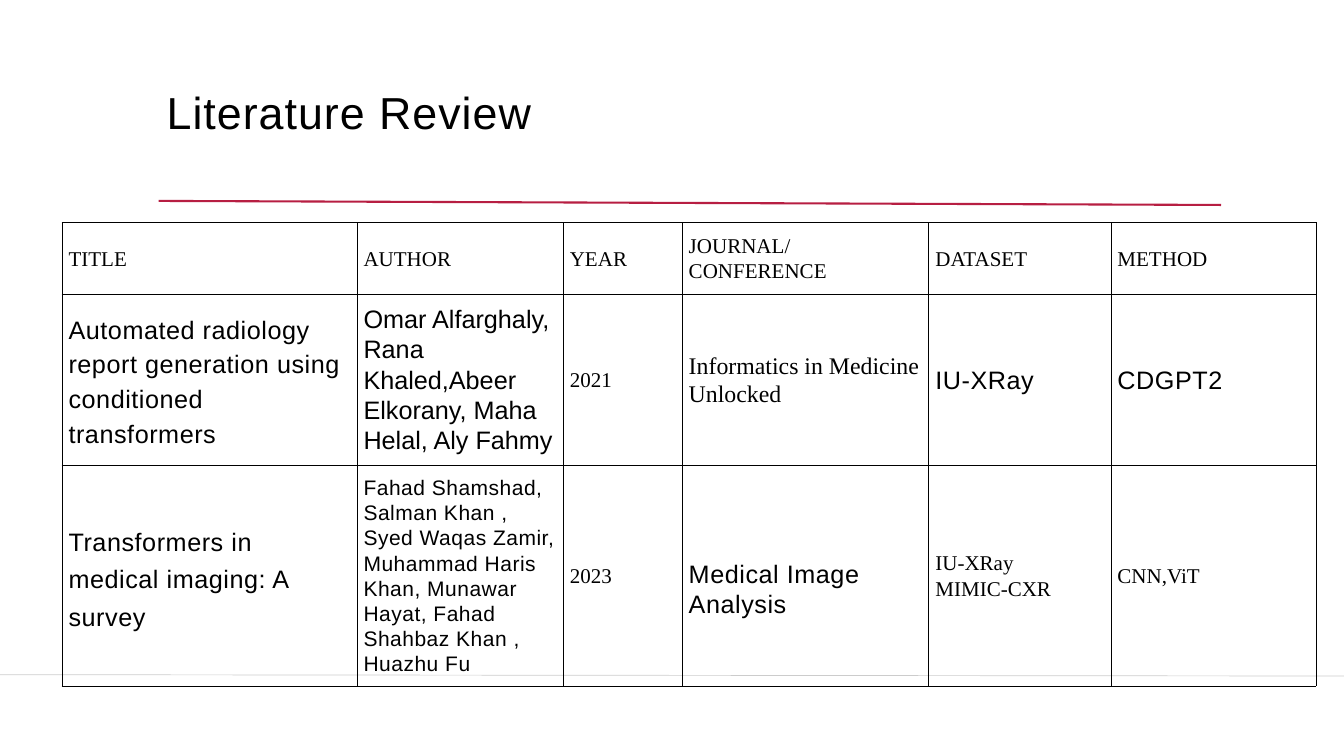
from lxml.etree import SubElement
from pptx import Presentation
from pptx.dml.color import RGBColor
from pptx.enum.shapes import MSO_CONNECTOR
from pptx.enum.text import MSO_ANCHOR, MSO_AUTO_SIZE, PP_ALIGN
from pptx.oxml.ns import qn
from pptx.util import Inches, Pt

BLACK = RGBColor(0x00, 0x00, 0x00)
CRIMSON = RGBColor(0xB7, 0x1E, 0x42)

SERIF = dict(font="Times New Roman", size=22.5, leading=27)
JOURNAL = dict(font="Times New Roman", size=25.5, leading=30.6)
SANS = dict(font="Arial", size=27, leading=32.4, spacing=0.6)

COLUMN_WIDTHS = [4.39, 3.07, 1.77, 3.67, 2.71, 3.06]
ROW_HEIGHTS = [1.06, 2.55, 3.29]
HEADINGS = ["TITLE", "AUTHOR", "YEAR", "JOURNAL/CONFERENCE", "DATASET", "METHOD"]
ROWS = [
    [(heading, SERIF) for heading in HEADINGS],
    [
        ("Automated radiology report generation using conditioned transformers",
         SANS | dict(leading=37.3)),
        ("Omar Alfarghaly, Rana Khaled,Abeer Elkorany, Maha Helal, Aly Fahmy",
         SANS | dict(spacing=0)),
        ("2021", SERIF),
        ("Informatics in Medicine Unlocked", JOURNAL),
        ("IU-XRay", SANS),
        ("CDGPT2", SANS),
    ],
    [
        ("Transformers in medical imaging: A survey", SANS | dict(leading=40.1)),
        ("Fahad Shamshad, Salman Khan , Syed Waqas Zamir, Muhammad Haris Khan, "
         "Munawar Hayat, Fahad Shahbaz Khan , Huazhu Fu",
         dict(font="Arial", size=22.5, leading=27, spacing=0.5)),
        ("2023", SERIF),
        ("Medical Image Analysis", SANS),
        ("IU-XRay\nMIMIC-CXR", SERIF),
        ("CNN,ViT", SERIF),
    ],
]


def write_text(frame, text, *, font, size, leading, spacing=0, color=BLACK):
    """Fill a text frame, one paragraph per line; sizes and spacing in points."""
    for index, line in enumerate(text.split("\n")):
        paragraph = frame.add_paragraph() if index else frame.paragraphs[0]
        paragraph.alignment = PP_ALIGN.LEFT
        paragraph.line_spacing = Pt(leading)
        run = paragraph.add_run()
        run.text = line
        run.font.name = font
        run.font.size = Pt(size)
        run.font.color.rgb = color
        run._r.get_or_add_rPr().set("spc", str(round(spacing * 100)))


def add_line(slide, start, end, color, width, opacity=100):
    points = [Inches(value) for value in (*start, *end)]
    line = slide.shapes.add_connector(MSO_CONNECTOR.STRAIGHT, *points)
    line.line.color.rgb = color
    line.line.width = Pt(width)
    properties = line._element.spPr
    SubElement(properties, qn("a:effectLst"))
    if opacity < 100:
        color_element = properties.find(".//" + qn("a:srgbClr"))
        SubElement(color_element, qn("a:alpha"), val=str(opacity * 1000))


def add_title(slide, text):
    title = slide.shapes.title
    title.left, title.top = Inches(2.48), Inches(1.34)
    title.width, title.height = Inches(15.55), Inches(1.65)
    frame = title.text_frame
    frame.margin_left = frame.margin_right = 0
    frame.margin_top = frame.margin_bottom = 0
    frame.vertical_anchor = MSO_ANCHOR.TOP
    frame.auto_size = MSO_AUTO_SIZE.NONE
    frame.word_wrap = True
    write_text(frame, text, font="Arial", size=48, leading=51.8, spacing=1.1)


def add_borders(cell, color, width):
    properties = cell._tc.get_or_add_tcPr()
    for side in ("a:lnL", "a:lnR", "a:lnT", "a:lnB"):
        border = SubElement(properties, qn(side), w=str(Pt(width)))
        fill = SubElement(border, qn("a:solidFill"))
        SubElement(fill, qn("a:srgbClr"), val=str(color))


def add_review_table(slide):
    shape = slide.shapes.add_table(
        len(ROWS), len(COLUMN_WIDTHS), Inches(0.92), Inches(3.31),
        Inches(sum(COLUMN_WIDTHS)), Inches(sum(ROW_HEIGHTS)))
    table = shape.table
    table.first_row = table.horz_banding = False
    for column, width in zip(table.columns, COLUMN_WIDTHS):
        column.width = Inches(width)
    for row, height, entries in zip(table.rows, ROW_HEIGHTS, ROWS):
        row.height = Inches(height)
        for cell, (text, style) in zip(row.cells, entries):
            cell.margin_left = cell.margin_right = Inches(0.1)
            cell.margin_top = cell.margin_bottom = Inches(0.1)
            cell.vertical_anchor = MSO_ANCHOR.MIDDLE
            add_borders(cell, BLACK, 0.37)
            cell.fill.background()
            write_text(cell.text_frame, text, **style)
    # The last journal name sits below the middle of its cell.
    table.cell(2, 3).margin_top = Inches(0.5)


def main():
    presentation = Presentation()
    presentation.slide_width = Inches(20)
    presentation.slide_height = Inches(11.25)
    slide = presentation.slides.add_slide(presentation.slide_layouts[5])
    add_line(slide, (-0.01, 10.04), (20.01, 10.06), BLACK, 0.75, opacity=20)
    add_line(slide, (2.36, 2.99), (18.17, 3.05), CRIMSON, 2.25)
    add_title(slide, "Literature Review")
    add_review_table(slide)
    presentation.save("out.pptx")


if __name__ == "__main__":
    main()
